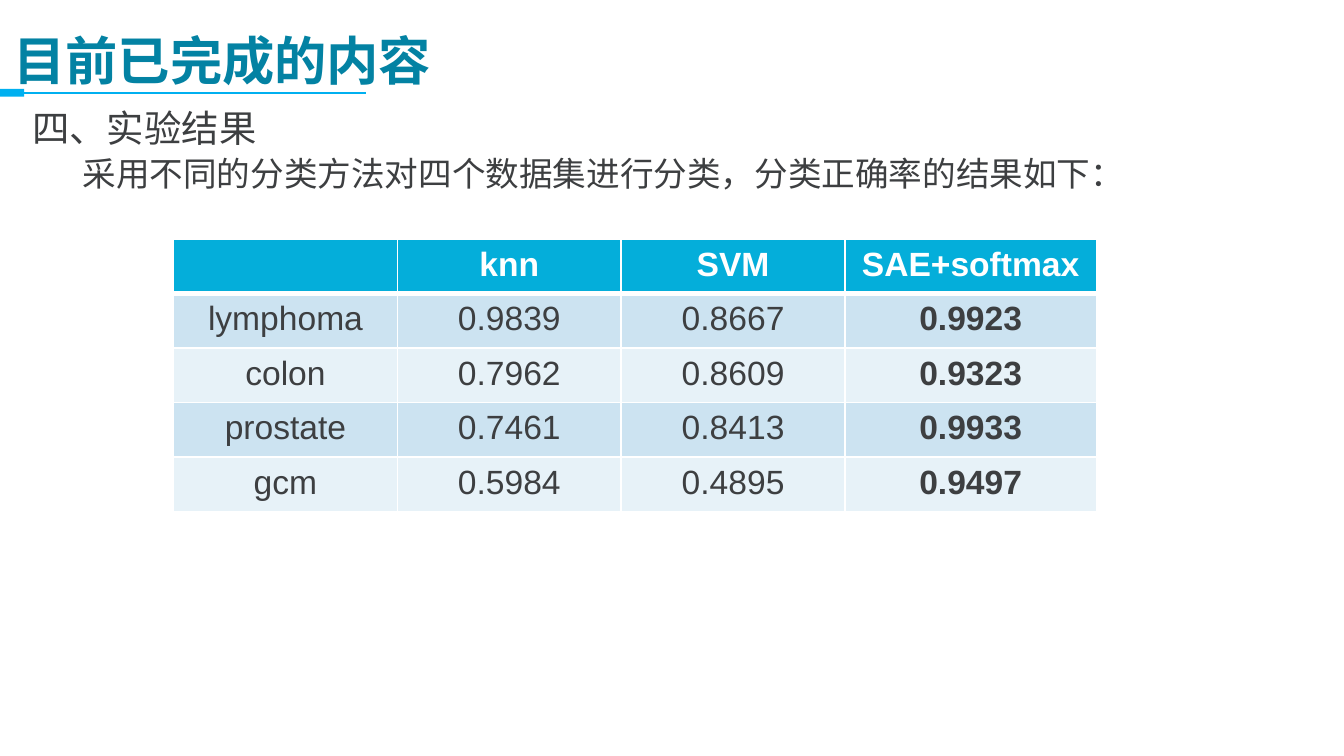
"""Build the slide that lists classification accuracy on four data sets."""
import pptx
import pptx.dml.color
import pptx.enum.lang
import pptx.enum.shapes
import pptx.enum.text
import pptx.oxml
import pptx.oxml.ns
import pptx.util
from lxml import etree

Cm = pptx.util.Cm
Pt = pptx.util.Pt
RGBColor = pptx.dml.color.RGBColor
Align = pptx.enum.text.PP_ALIGN
CHINESE = pptx.enum.lang.MSO_LANGUAGE_ID.SIMPLIFIED_CHINESE

WHITE = RGBColor(0xFF, 0xFF, 0xFF)
SKY = RGBColor(0x00, 0xB0, 0xF0)
TEAL = RGBColor(0x03, 0x82, 0xA3)
INK = RGBColor(0x3D, 0x3F, 0x41)
HEAD = RGBColor(0x04, 0xAE, 0xDA)
BANDS = RGBColor(0xCC, 0xE3, 0xF1), RGBColor(0xE7, 0xF2, 0xF8)

ROWS = [
    ("", "knn", "SVM", "SAE+softmax"),
    ("lymphoma", "0.9839", "0.8667", "0.9923"),
    ("colon", "0.7962", "0.8609", "0.9323"),
    ("prostate", "0.7461", "0.8413", "0.9933"),
    ("gcm", "0.5984", "0.4895", "0.9497"),
]


class Deck:
    def __init__(self, wide, high):
        self.show = pptx.Presentation()
        self.show.slide_width, self.show.slide_height = Cm(wide), Cm(high)
        self.slide = self.show.slides.add_slide(self.show.slide_layouts[5])
        self.font = {"name": "Arial", "bold": False}

    def apply(self, item, form):
        for name, value in form.items():
            setattr(item, name, value)

    def label(self, para, text, size, color, align=Align.LEFT, **form):
        para.alignment = align
        run = para.add_run()
        run.text = text
        self.apply(run.font, {**self.font, "size": Pt(size), **form})
        run.font.color.rgb = color

    def title(self, text, left, top, wide, high):
        shape = self.slide.shapes.title
        self.apply(shape, {"left": Cm(left), "top": Cm(top),
                           "width": Cm(wide), "height": Cm(high)})
        frame = shape.text_frame
        self.apply(frame, {"auto_size": pptx.enum.text.MSO_AUTO_SIZE.NONE,
                           "vertical_anchor": pptx.enum.text.MSO_ANCHOR.MIDDLE})
        self.label(frame.paragraphs[0], text, 28, TEAL,
                   bold=True, language_id=CHINESE)

    def body(self, lines, left, top, wide, high):
        frame = self.slide.shapes.add_textbox(
            Cm(left), Cm(top), Cm(wide), Cm(high)).text_frame
        frame.word_wrap = True
        for i, (text, size, hang) in enumerate(lines):
            para = frame.add_paragraph() if i else frame.paragraphs[0]
            self.apply(para, {"space_before": Pt(3), "space_after": Pt(3),
                              "line_spacing": 0.8})
            props = para._p.get_or_add_pPr()
            props.set("marL", str(Cm(0.95)))
            props.set("indent", str(Cm(-hang)))
            self.label(para, text, size, INK, language_id=CHINESE)

    def bar(self, left, top, wide, high, color):
        shape = self.slide.shapes.add_shape(
            pptx.enum.shapes.MSO_SHAPE.RECTANGLE,
            Cm(left), Cm(top), Cm(wide), Cm(high))
        shape.shadow.inherit = False
        shape.fill.solid()
        shape.fill.fore_color.rgb = color
        shape.line.fill.background()

    def rule(self, start, end, y, color):
        line = self.slide.shapes.add_connector(
            pptx.enum.shapes.MSO_CONNECTOR.STRAIGHT,
            Cm(start), Cm(y), Cm(end), Cm(y))
        line.line.color.rgb = color
        line.line.width = Pt(0.75)
        etree.SubElement(line._element.spPr, pptx.oxml.ns.qn("a:effectLst"))

    def edge(self, cell, row):
        thick = {"T": 3 if row == 1 else 1, "B": 3 if row == 0 else 1}
        for side in "LRTB":
            cell._tc.get_or_add_tcPr().append(pptx.oxml.parse_xml(
                f'<a:ln{side} {pptx.oxml.ns.nsdecls("a")} '
                f'w="{Pt(thick.get(side, 1))}"><a:solidFill>'
                f'<a:srgbClr val="{WHITE}"/></a:solidFill></a:ln{side}>'))

    def table(self, rows, left, top, cols, high):
        grid = self.slide.shapes.add_table(
            len(rows), len(cols), Cm(left), Cm(top),
            Cm(sum(cols)), Cm(high * len(rows))).table
        for col, wide in zip(grid.columns, cols):
            col.width = Cm(wide)
        for r, row in enumerate(rows):
            for c, text in enumerate(row):
                cell = grid.cell(r, c)
                self.edge(cell, r)
                cell.fill.solid()
                cell.fill.fore_color.rgb = BANDS[(r - 1) % 2] if r else HEAD
                if text:
                    self.label(cell.text_frame.paragraphs[0], text, 18,
                               INK if r else WHITE, Align.CENTER,
                               bold=r == 0 or c == len(cols) - 1)


def main():
    deck = Deck(25.4, 14.29)
    deck.rule(6.91, 0.46, 1.76, SKY)
    deck.bar(0, 1.68, 0.46, 0.15, SKY)
    deck.title("目前已完成的内容", 0, 0.53, 24.16, 1.19)
    deck.body([
        ("四、实验结果", 20, 0.95),
        ("采用不同的分类方法对四个数据集进行分类，分类正确率的结果如下：", 18, 0),
    ], 0.36, 2.03, 24.56, 10.64)
    deck.table(ROWS, 3.28, 4.52, [4.23, 4.23, 4.23, 4.75], 1.03)
    deck.show.save("out.pptx")


if __name__ == "__main__":
    main()
